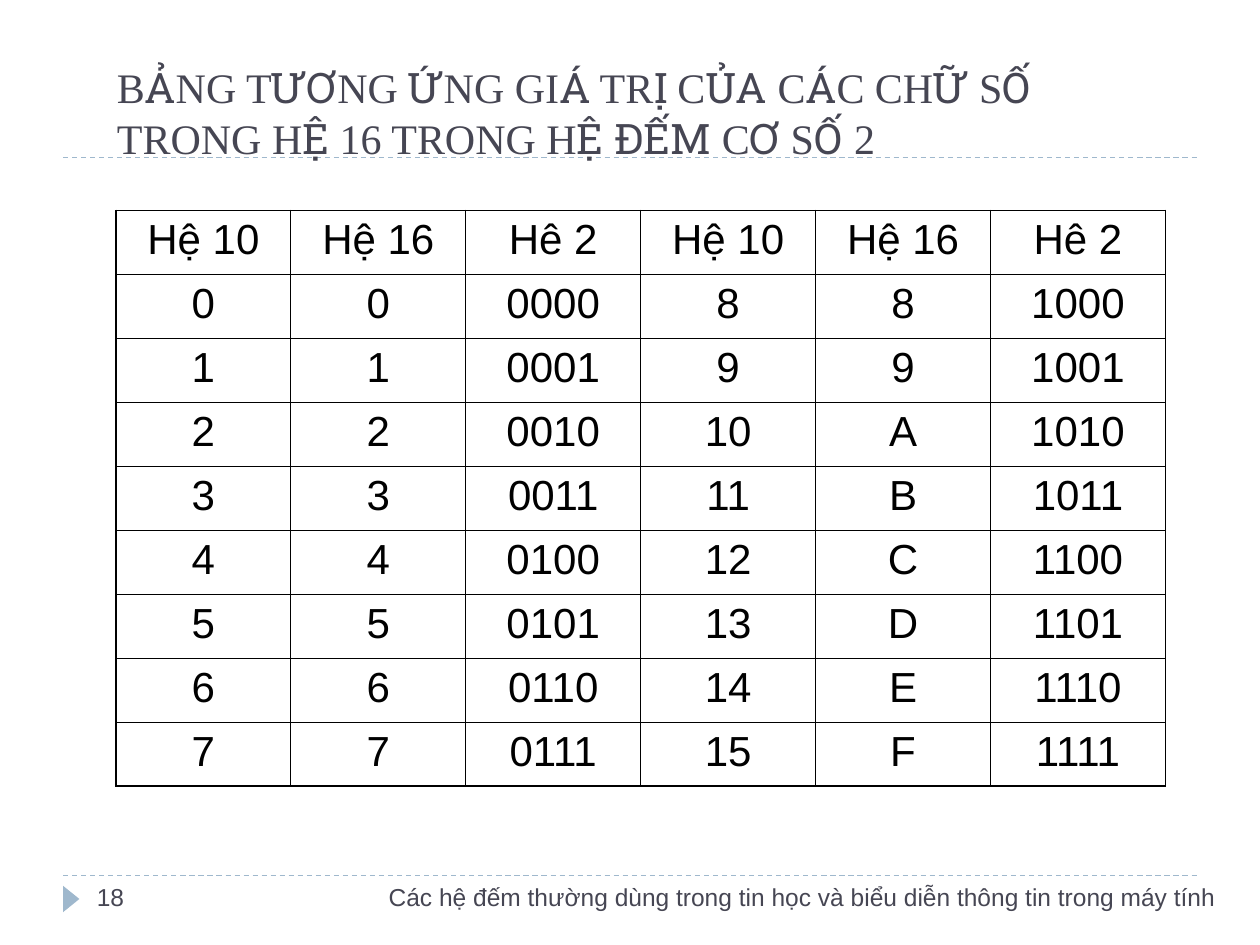
"""Build a slide with the table of hexadecimal digits and their binary values."""
import pptx
import pptx.dml.color
import pptx.enum.dml
import pptx.enum.shapes
import pptx.enum.text
import pptx.oxml
import pptx.oxml.ns
import pptx.util

Inches = pptx.util.Inches
Pt = pptx.util.Pt
ALIGN = pptx.enum.text.PP_ALIGN
ANCHOR = pptx.enum.text.MSO_ANCHOR
INK = "464653"
ACCENT = "9FB8CD"


def rgb(value):
    return pptx.dml.color.RGBColor.from_string(value)


def style(r, font, size, color):
    r.font.name = font
    r.font.size = Pt(size)
    r.font.color.rgb = rgb(color)


prs = pptx.Presentation()
prs.slide_width = Inches(10)
prs.slide_height = Inches(7.5)
s = prs.slides.add_slide(prs.slide_layouts[6])

for y in (6.95, 1.25):
    rule = s.shapes.add_connector(
        pptx.enum.shapes.MSO_CONNECTOR.STRAIGHT, Inches(0.5), Inches(y), Inches(9.5), Inches(y))
    rule.line.color.rgb = rgb(ACCENT)
    rule.line.width = Pt(0.75)
    rule.line.dash_style = pptx.enum.dml.MSO_LINE.DASH
    rule._element.spPr.append(pptx.oxml.parse_xml(
        f'<a:effectLst {pptx.oxml.ns.nsdecls("a")}/>'))

marker = s.shapes.add_shape(
    pptx.enum.shapes.MSO_SHAPE.ISOSCELES_TRIANGLE,
    Inches(0.46), Inches(7.07), Inches(0.21), Inches(0.13))
marker.rotation = 90
marker.shadow.inherit = False
marker.fill.solid()
marker.fill.fore_color.rgb = rgb(ACCENT)
marker.line.fill.background()

title = "B|Ả|NG T|ƯƠ|NG |Ứ|NG GI|Á| TR|Ị| C|ỦA| C|Á|C CH|Ữ| S|Ố| TRONG H|Ệ| 16 TRONG H|Ệ ĐẾM| C|Ơ| S|Ố| 2"
sp = s.shapes.add_textbox(Inches(0.83), Inches(0.42), Inches(8.67), Inches(0.92))
tf = sp.text_frame
tf.word_wrap = True
tf.vertical_anchor = ANCHOR.BOTTOM
for i, part in enumerate(title.split("|")):
    r = tf.paragraphs[0].add_run()
    r.text = part
    style(r, ("Times New Roman", "Roboto Slab")[i % 2], 24, INK)

rows = [["Hệ 10", "Hệ 16", "Hê 2"] * 2]
for n in range(8):
    rows.append([f(v) for v in (n, n + 8) for f in (str, "{:X}".format, "{:04b}".format)])
last_row, last_col = len(rows) - 1, len(rows[0]) - 1

frame = s.shapes.add_table(
    len(rows), len(rows[0]), Inches(0.92), Inches(1.67), Inches(8.33), Inches(4.57))
table = frame.table
table.first_row = False
table.horz_banding = False
for i, values in enumerate(rows):
    for j, value in enumerate(values):
        cell = table.cell(i, j)
        cell.fill.background()
        cell.text_frame.text = value
        p = cell.text_frame.paragraphs[0]
        p.alignment = ALIGN.CENTER
        p.space_before = Pt(6)
        style(p.runs[0], "Arial", 24, "000000")
        outer = {"L": j == 0, "R": j == last_col, "T": i == 0, "B": i == last_row}
        for k, (side, edge) in enumerate(outer.items()):
            cell._tc.get_or_add_tcPr().insert(k, pptx.oxml.parse_xml(
                f'<a:ln{side} {pptx.oxml.ns.nsdecls("a")} w="{Pt(1.08 if edge else 0.45)}">'
                f'<a:solidFill><a:srgbClr val="000000"/></a:solidFill></a:ln{side}>'))

footer = "Các hệ đếm thường dùng trong tin học và biểu diễn thông tin trong máy tính"
for x, width, text, align in ((0.67, 2.17, "18", ALIGN.LEFT), (2.5, 7.25, footer, ALIGN.RIGHT)):
    sp = s.shapes.add_textbox(Inches(x), Inches(6.95), Inches(width), Inches(0.4))
    tf = sp.text_frame
    tf.word_wrap = True
    tf.text = text
    p = tf.paragraphs[0]
    p.alignment = align
    p.space_before = Pt(3.5)
    style(p.runs[0], "Arial", 14, INK)

prs.save("out.pptx")
